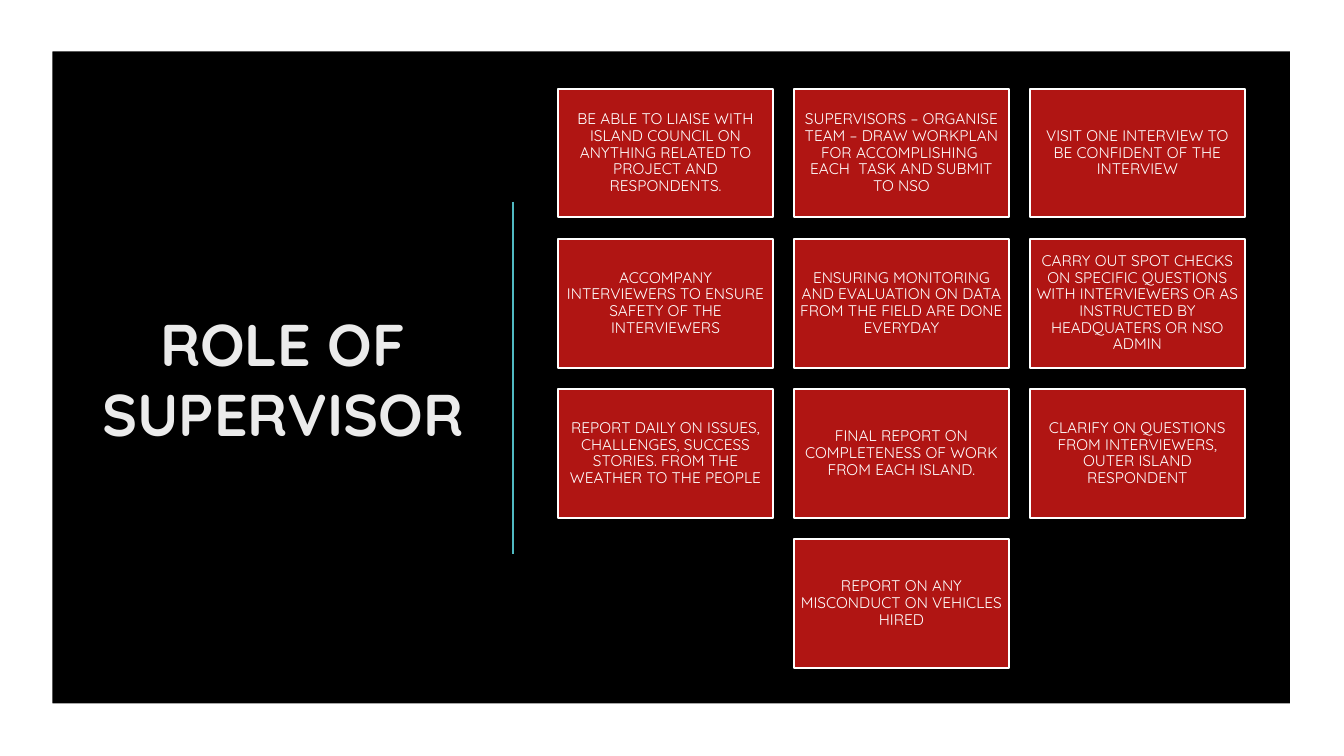
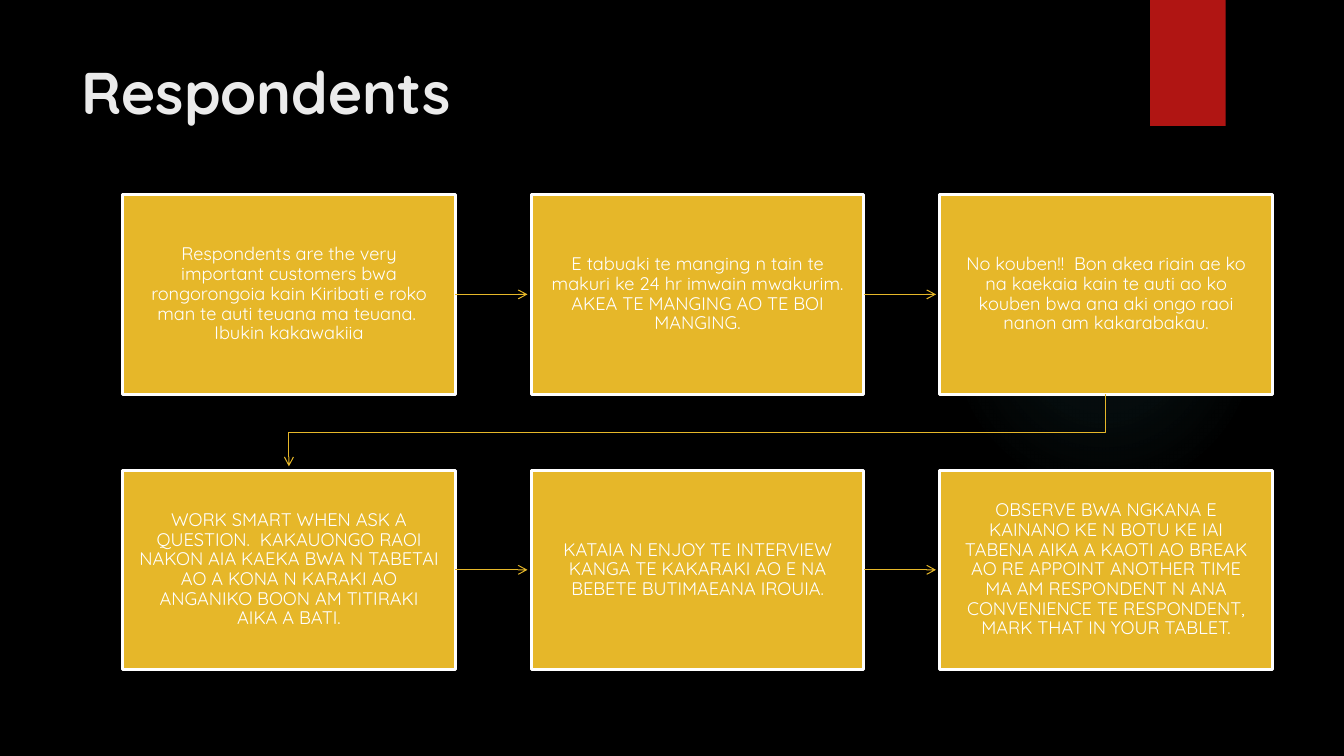
from dataclasses import dataclass

from lxml.etree import SubElement
from pptx import Presentation
from pptx.dml.color import RGBColor
from pptx.enum.shapes import MSO_CONNECTOR as CONN, MSO_SHAPE as SHAPE
from pptx.enum.text import MSO_ANCHOR as ANCHOR, PP_ALIGN as ALIGN
from pptx.oxml import parse_xml
from pptx.oxml.ns import nsdecls, qn
from pptx.util import Pt

SLIDE_W, SLIDE_H = 960, 540


@dataclass(frozen=True)
class Theme:
    font: str = "Quicksand"
    back: str = "000000"
    white: str = "FFFFFF"
    title: str = "EBEBEB"
    red: str = "B01513"
    gold: str = "E6B729"
    teal: str = "50B9C1"
    title_size: int = 42
    step_size: int = 13
    card_size: int = 11


T = Theme()


def rgb(value):
    return RGBColor.from_string(value)


def write(sp, text, size, color=T.white, bold=False, align=ALIGN.CENTER,
          anchor=ANCHOR.MIDDLE, spacing=1.0, inset=(7.2, 3.6)):
    """Put one formatted paragraph into a shape; inset is (sides, top and bottom)."""
    tf = sp.text_frame
    tf.word_wrap = True
    tf.vertical_anchor = anchor
    tf.margin_left = tf.margin_right = Pt(inset[0])
    tf.margin_top = tf.margin_bottom = Pt(inset[1])
    p = tf.paragraphs[0]
    p.alignment, p.line_spacing = align, spacing
    r = p.add_run()
    r.text = text
    r.font.name, r.font.size, r.font.bold = T.font, Pt(size), bold
    r.font.color.rgb = rgb(color)


class Deck:
    def __init__(self):
        self.prs = Presentation()
        self.prs.slide_width, self.prs.slide_height = Pt(SLIDE_W), Pt(SLIDE_H)
        self.s = None

    def new_slide(self):
        self.s = self.prs.slides.add_slide(self.prs.slide_layouts[6])
        fill = self.s.background.fill
        fill.solid()
        fill.fore_color.rgb = rgb(T.back)

    def paint(self, sp, fill=None, line=None, width=1):
        sp.shadow.inherit = False
        if fill:
            sp.fill.solid()
            sp.fill.fore_color.rgb = rgb(fill)
        else:
            sp.fill.background()
        if line:
            sp.line.color.rgb = rgb(line)
            sp.line.width = Pt(width)
        else:
            sp.line.fill.background()
        return sp

    def shape(self, x, y, w, h, kind=SHAPE.RECTANGLE, **look):
        sp = self.s.shapes.add_shape(kind, Pt(x), Pt(y), Pt(w), Pt(h))
        return self.paint(sp, **look)

    def title(self, text, x, y, w, h, **fmt):
        sp = self.s.shapes.add_textbox(Pt(x), Pt(y), Pt(w), Pt(h))
        write(sp, text, T.title_size, color=T.title, bold=True, **fmt)

    def outline(self, *contours, close=True, **look):
        (start, *rest), *others = [[(Pt(x), Pt(y)) for x, y in c] for c in contours]
        fb = self.s.shapes.build_freeform(*start)
        fb.add_line_segments(rest, close=close)
        for first, *more in others:
            fb.move_to(*first)
            fb.add_line_segments(more, close=close)
        return self.paint(fb.convert_to_shape(), **look)

    def connector(self, x1, y1, x2, y2, color, width, begin=None):
        c = self.s.shapes.add_connector(CONN.STRAIGHT, Pt(x1), Pt(y1), Pt(x2), Pt(y2))
        if begin is not None:
            c.begin_connect(begin, 3)
        c.line.color.rgb = rgb(color)
        c.line.width = Pt(width)
        SubElement(c._element.spPr, qn("a:effectLst"))
        return c

    def arrowhead(self, sp):
        ln = sp._element.spPr.find(qn("a:ln"))
        SubElement(ln, qn("a:tailEnd"), type="arrow")

    def glow(self, x, y, size, color, stops):
        sp = self.shape(x, y, size, size, SHAPE.OVAL)
        gs = "".join(
            f'<a:gs pos="{pos * 1000}"><a:srgbClr val="{color}">'
            f'<a:alpha val="{alpha * 1000}"/></a:srgbClr></a:gs>'
            for pos, alpha in stops)
        grad = parse_xml(
            f'<a:gradFill {nsdecls("a")} rotWithShape="1"><a:gsLst>{gs}</a:gsLst>'
            '<a:path path="circle"><a:fillToRect l="50000" t="50000" r="50000" '
            'b="50000"/></a:path></a:gradFill>')
        sp_pr = sp._element.spPr
        sp_pr.replace(sp_pr.find(qn("a:noFill")), grad)

    def box(self, text, x, y, w, h, fill, border, size, inset):
        sp = self.shape(x, y, w, h, fill=fill, line=T.white, width=border)
        write(sp, text, size, spacing=0.9, inset=inset)
        return sp


ROLES = [
    "BE ABLE TO LIAISE WITH ISLAND COUNCIL ON ANYTHING RELATED TO PROJECT AND RESPONDENTS.",
    "SUPERVISORS – ORGANISE TEAM – DRAW WORKPLAN FOR ACCOMPLISHING  EACH  TASK AND SUBMIT TO NSO",
    "VISIT ONE INTERVIEW TO BE CONFIDENT OF THE INTERVIEW",
    "ACCOMPANY INTERVIEWERS TO ENSURE SAFETY OF THE INTERVIEWERS",
    "ENSURING MONITORING AND EVALUATION ON DATA FROM THE FIELD ARE DONE EVERYDAY",
    "CARRY OUT SPOT CHECKS ON SPECIFIC QUESTIONS WITH INTERVIEWERS OR AS INSTRUCTED BY "
    "HEADQUATERS OR NSO ADMIN",
    "REPORT DAILY ON ISSUES, CHALLENGES, SUCCESS STORIES. FROM THE WEATHER TO THE PEOPLE",
    "FINAL REPORT ON COMPLETENESS OF WORK FROM EACH ISLAND.",
    "CLARIFY ON QUESTIONS FROM INTERVIEWERS, OUTER ISLAND RESPONDENT",
    "REPORT ON ANY MISCONDUCT ON VEHICLES HIRED",
]

STEPS = [
    "Respondents are the very important customers bwa rongorongoia kain Kiribati e roko man te "
    "auti teuana ma teuana.  Ibukin kakawakiia",
    "E tabuaki te manging n tain te makuri ke 24 hr imwain mwakurim. AKEA TE MANGING AO TE BOI "
    "MANGING.",
    "No kouben!!  Bon akea riain ae ko na kaekaia kain te auti ao ko kouben bwa ana aki ongo "
    "raoi nanon am kakarabakau.",
    "WORK SMART WHEN ASK A QUESTION.  KAKAUONGO RAOI NAKON AIA KAEKA BWA N TABETAI AO A KONA N "
    "KARAKI AO ANGANIKO BOON AM TITIRAKI AIKA A BATI.",
    "KATAIA N ENJOY TE INTERVIEW KANGA TE KAKARAKI AO E NA BEBETE BUTIMAEANA IROUIA.",
    "OBSERVE BWA NGKANA E KAINANO KE N BOTU KE IAI TABENA AIKA A KAOTI AO BREAK AO RE APPOINT "
    "ANOTHER TIME MA AM RESPONDENT N ANA CONVENIENCE TE RESPONDENT, MARK THAT IN YOUR TABLET.",
]

COLS = 3
BOX_RATIO = 0.6  # height of every box relative to its width


def supervisor_slide(d):
    d.new_slide()
    d.connector(366.5, 144, 366.5, 396, T.teal, 1.5)

    # White frame around the slide
    left, top, right, bottom = 37.4, 36.8, 921.6, 502.4
    d.outline([(0, 0), (0, SLIDE_H), (SLIDE_W, SLIDE_H), (SLIDE_W, 0)],
              [(right, bottom), (left, bottom), (left, top), (right, top)],
              fill=T.white)
    d.title("ROLE OF SUPERVISOR", 63.4, 63.4, 277.2, 413.3)

    # Grid of duties, a lone last card goes in the middle column
    x0, y0, w = 398.8, 63.4, 153.2
    h, gap = w * BOX_RATIO, w * 0.1
    for i, text in enumerate(ROLES):
        row, col = divmod(i, COLS)
        if i == len(ROLES) - 1:
            col = 1
        d.box(text, x0 + col * (w + gap), y0 + row * (h + gap), w, h,
              T.red, 1.5, T.card_size, (3.6, 3.6))


def respondents_slide(d):
    d.new_slide()
    d.glow(677.5, 131.8, 221.8, T.teal, [(0, 7), (36, 6), (69, 0)])
    d.title("Respondents", 51.1, 36, 740.9, 110.2, align=ALIGN.LEFT, anchor=ANCHOR.TOP)
    d.shape(821.5, 0, 54, 90, fill=T.red)

    # Steps in reading order
    x0, y0, w, gap, tip = 87.6, 139, 237.6, 54.2, 2.6
    h = w * BOX_RATIO
    for i, text in enumerate(STEPS):
        row, col = divmod(i, COLS)
        x, y = x0 + col * (w + gap), y0 + row * (h + gap)
        sp = d.box(text, x, y, w, h, T.gold, 2.25, T.step_size, (11.5, 12.2))
        if col < COLS - 1:
            mid = y + h / 2
            d.arrowhead(d.connector(x + w, mid, x + w + gap - tip, mid, T.gold, 0.75, begin=sp))

    # Bent arrow from the end of the first row to the start of the second
    first, last = x0 + w / 2, x0 + 2 * (w + gap) + w / 2
    edge = y0 + h
    turn = edge + gap / 2
    bend = d.outline([(last, edge), (last, turn), (first, turn), (first, edge + gap - tip)],
                     close=False, line=T.gold, width=0.75)
    d.arrowhead(bend)


def main():
    d = Deck()
    supervisor_slide(d)
    respondents_slide(d)
    d.prs.save("out.pptx")


if __name__ == "__main__":
    main()
